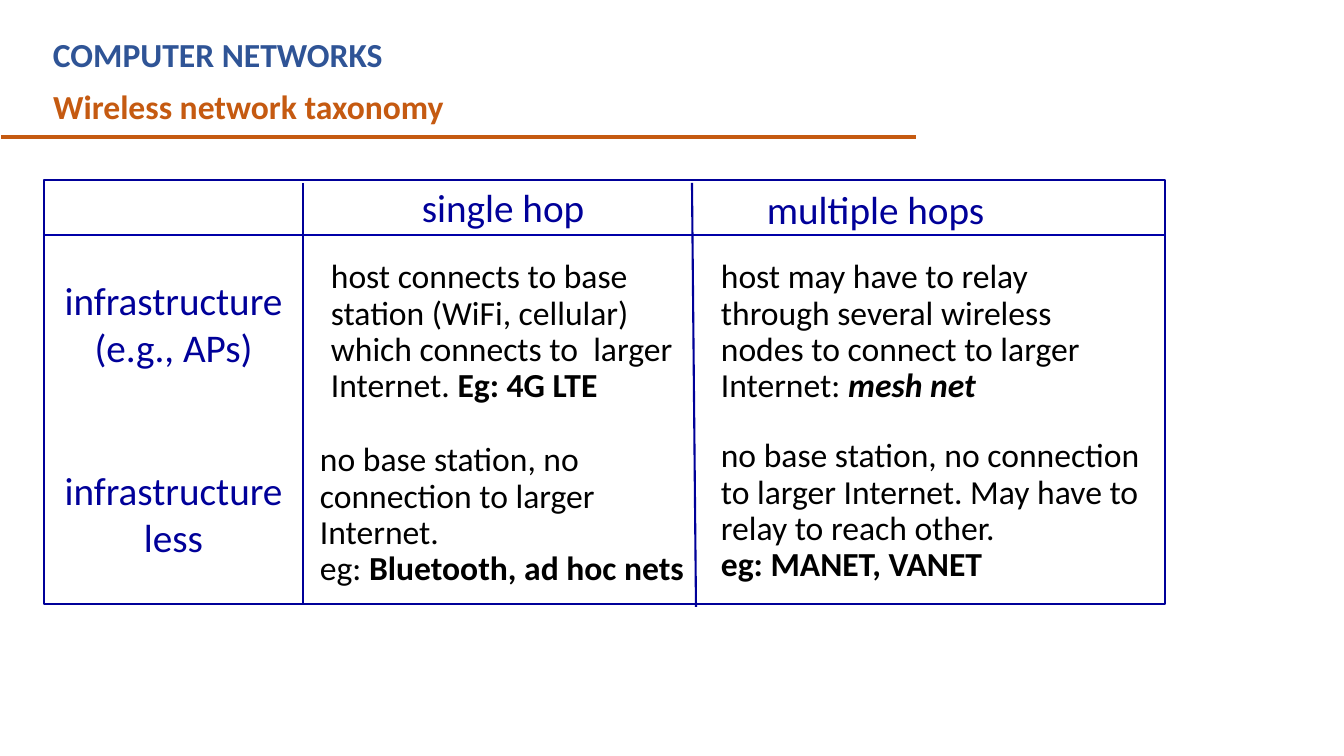
"""Builds the wireless network taxonomy slide."""
from pptx import Presentation
from pptx.dml.color import RGBColor
from pptx.enum.shapes import MSO_CONNECTOR as CONN, MSO_SHAPE as SHAPE
from pptx.enum.text import MSO_ANCHOR as ANCHOR, MSO_AUTO_SIZE as FIT, PP_ALIGN as ALIGN
from pptx.oxml.ns import qn
from pptx.util import Pt

PX = 914400 / 100.8
BLUE, ORANGE, NAVY, BLACK = "2F5496", "C55A11", "000099", "000000"


def write(sp, box, paras, size=24, color=BLACK, bold=False, align=ALIGN.LEFT, spacing=1.0):
    """Place sp at box in px and fill it with paragraphs of (text, style) runs."""
    sp.left, sp.top, sp.width, sp.height = (round(v * PX) for v in box)
    tf = sp.text_frame
    tf.word_wrap, tf.auto_size, tf.vertical_anchor = True, FIT.NONE, ANCHOR.TOP
    for i, runs in enumerate(paras):
        p = tf.add_paragraph() if i else tf.paragraphs[0]
        p.alignment, p.line_spacing = align, spacing
        for text, style in runs:
            r = p.add_run()
            r.text = text
            r.font.name, r.font.size = "Calibri", Pt(size)
            r.font.bold = bold or "b" in style
            r.font.italic = "i" in style
            r.font.color.rgb = RGBColor.from_string(color)


prs = Presentation()
prs.slide_width, prs.slide_height = round(1344 * PX), round(756 * PX)
s = prs.slides.add_slide(prs.slide_layouts[5])

write(s.shapes.title, (43, 81, 415, 50), [[("Wireless network taxonomy", "")]],
      color=ORANGE, bold=True)
write(s.shapes.add_textbox(0, 0, 0, 0), (43, 29, 827, 50),
      [[("COMPUTER NETWORKS", "")]], color=BLUE, bold=True)

headings = [
    ((412, 178, 184, 57), ["single hop"], ALIGN.LEFT),
    ((757, 180, 241, 57), ["multiple hops"], ALIGN.LEFT),
    ((53, 271, 241, 105), ["infrastructure", "(e.g., APs)"], ALIGN.CENTER),
    ((53, 461, 241, 105), ["infrastructure less"], ALIGN.CENTER),
]
for box, lines, align in headings:
    write(s.shapes.add_textbox(0, 0, 0, 0), box, [[(t, "")] for t in lines],
          size=28, color=NAVY, align=align)

cells = [
    ((321, 255, 362, 157), [
        [("host connects to base station (WiFi, cellular) which connects to  larger Internet. ", ""),
         ("Eg: 4G LTE", "b")]]),
    ((310, 438, 393, 157), [
        [("no base station, no connection to larger Internet.", "")],
        [("eg: ", ""), ("Bluetooth, ad hoc nets", "b")]]),
    ((711, 255, 421, 157), [
        [("host may have to relay through several wireless nodes to connect to larger", "")],
        [("Internet: ", ""), ("mesh net", "bi")]]),
    ((711, 434, 442, 157), [
        [("no base station, no connection to larger Internet. May have to relay to reach other.", "")],
        [("eg: MANET, VANET", "b")]]),
]
for box, paras in cells:
    write(s.shapes.add_textbox(0, 0, 0, 0), box, paras, spacing=0.9)

frame = s.shapes.add_shape(SHAPE.RECTANGLE, *(round(v * PX) for v in (44, 180, 1121, 424)))
frame.shadow.inherit = False
frame.fill.background()
frame.line.color.rgb = RGBColor.from_string(NAVY)
frame.line.width = Pt(1.5)

rules = [
    ((1, 137, 916, 137), ORANGE, 3),
    ((303, 183, 303, 604), NAVY, 1.5),
    ((692, 183, 696, 607), NAVY, 1.5),
    ((43, 235, 1166, 235), "0000A8", 1.75),
]
for ends, color, width in rules:
    line = s.shapes.add_connector(CONN.STRAIGHT, *(round(v * PX) for v in ends))
    line.line.color.rgb = RGBColor.from_string(color)
    line.line.width = Pt(width)
    sp_pr = line._element.spPr
    sp_pr.append(sp_pr.makeelement(qn("a:effectLst"), {}))

prs.save("out.pptx")
